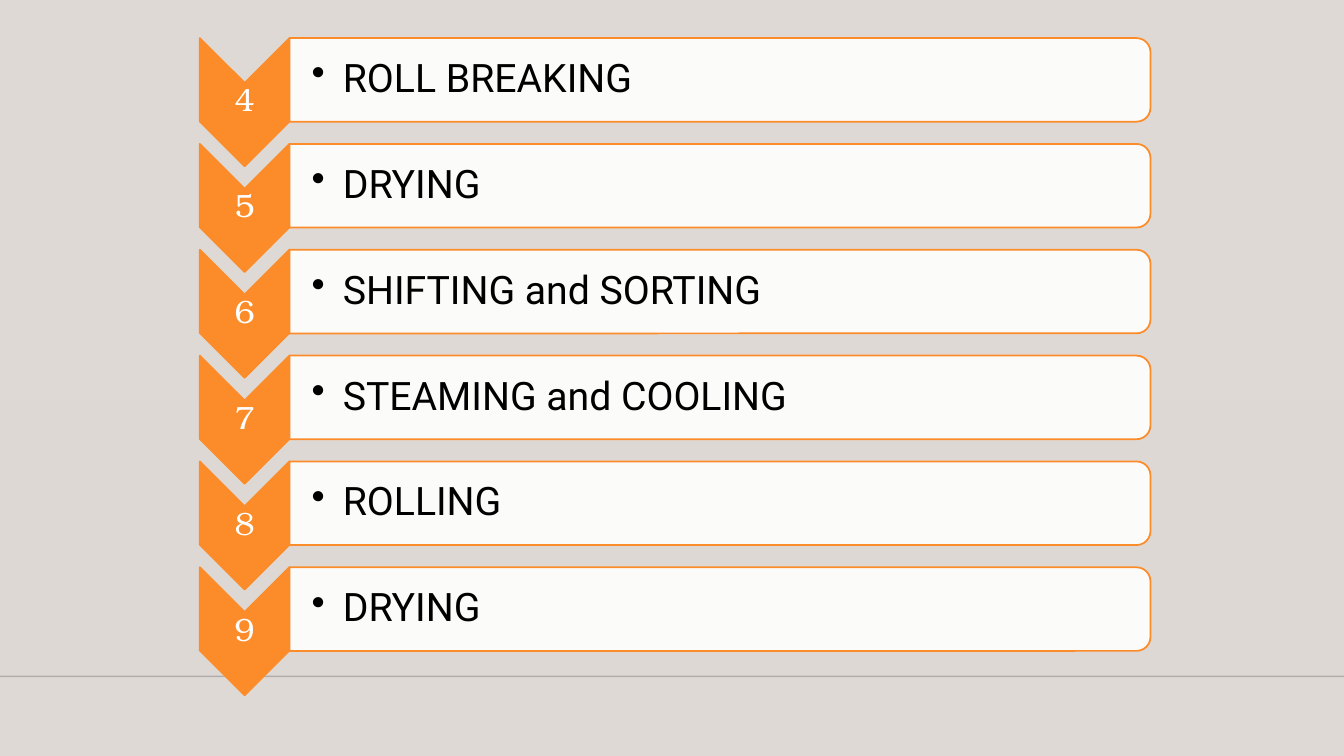
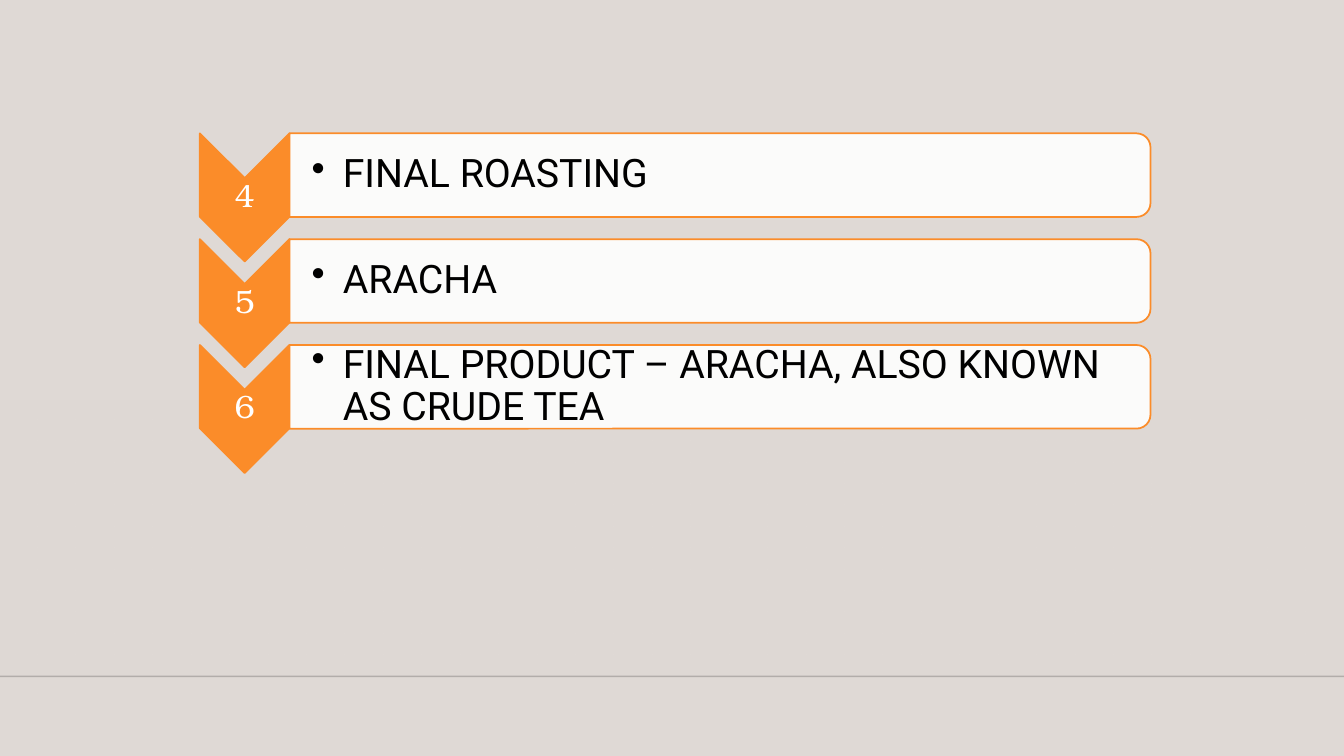
import pptx
import pptx.util
import pptx.dml.color
import pptx.enum.shapes
import pptx.enum.text
import pptx.oxml.ns
import pptx.oxml.xmlchemy

Pt = pptx.util.Pt
Inches = pptx.util.Inches
Kind = pptx.enum.shapes.MSO_SHAPE
Align = pptx.enum.text.PP_ALIGN
qn = pptx.oxml.ns.qn

WIDE, HIGH = 13.33, 7.5
COL = WIDE / 15      # one chevron wide
ROW = HIGH * 0.14    # from one step to the next


def color(code):
    return pptx.dml.color.RGBColor.from_string(code)


def add(node, tag, **marks):
    child = pptx.oxml.xmlchemy.OxmlElement(tag)
    for name, value in marks.items():
        child.set(name, str(value))
    node.append(child)


def fade(node, *shares):
    """Give the colours below node, in order, their opacity in percent."""
    for tone, share in zip(list(node.iter(qn("a:srgbClr"))), shares):
        add(tone, "a:alpha", val=share * 1000)


class Deck:
    # Style
    back, main, card = "DFD9D5", "FB8C29", "FFFFFF"
    rule, ink, pale = "000001", "000000", "FFFFFF"
    body, digit = "Roboto", "TeX Gyre Bonum"

    def __init__(self):
        self.file = pptx.Presentation()
        self.file.slide_width = Inches(WIDE)
        self.file.slide_height = Inches(HIGH)
        fill = self.file.slide_master.background.fill
        fill.solid()
        fill.fore_color.rgb = color(self.back)
        self.slide = None

    def page(self):
        self.slide = self.file.slides.add_slide(self.file.slide_layouts[6])
        self.floor()

    def box(self, col, row, cols, rows):
        return [Inches(n) for n in (col * COL, row * ROW, cols * COL, rows * ROW)]

    # Soft band with a thin line below it
    def floor(self):
        band = self.slide.shapes.add_shape(Kind.RECTANGLE, *self.box(0, 3.77, 15, 2.61))
        band.shadow.inherit = False
        band.line.fill.background()
        band.fill.gradient()
        band.fill.gradient_angle = 270
        for stop in band.fill.gradient_stops:
            stop.color.rgb = color(self.back)
        fade(band._element.spPr, 0, 80)

        left, top, wide, _ = self.box(0, 6.39, 15, 0)
        line = self.slide.shapes.add_connector(
            pptx.enum.shapes.MSO_CONNECTOR.STRAIGHT, left, top, wide, top)
        line.line.width = Pt(1)
        line.line.color.rgb = color(self.rule)
        props = line._element.spPr
        fade(props, 20)
        add(props, "a:effectLst")

    # Preset shape turned a quarter, placed by the area it covers
    def turned(self, kind, area, fill, share=100):
        left, top, wide, high = self.box(*area)
        shift = (wide - high) // 2
        shape = self.slide.shapes.add_shape(kind, left + shift, top - shift, high, wide)
        shape.rotation = 90
        shape.shadow.inherit = False
        shape.fill.solid()
        shape.fill.fore_color.rgb = color(fill)
        if share < 100:
            fade(shape._element.spPr, share)
        shape.line.color.rgb = color(self.main)
        shape.line.width = Pt(1.25)

    def text(self, area, words, font, size, tone, align, inset=0.02, bullet=False):
        frame = self.slide.shapes.add_textbox(*self.box(*area)).text_frame
        frame.word_wrap = True
        frame.vertical_anchor = pptx.enum.text.MSO_ANCHOR.MIDDLE
        frame.margin_left = Inches(inset)
        frame.margin_top = frame.margin_right = frame.margin_bottom = Inches(0.02)
        para = frame.paragraphs[0]
        para.alignment = align
        para.line_spacing = 0.9
        if bullet:
            props = para._p.get_or_add_pPr()
            props.set("marL", str(Inches(0.31)))
            props.set("indent", str(-Inches(0.31)))
            add(props, "a:buChar", char="•")
        run = para.add_run()
        run.text = words
        run.font.name = font
        run.font.size = Pt(size)
        run.font.color.rgb = color(tone)

    # One numbered step: chevron and card
    def step(self, row, number, words):
        self.turned(Kind.CHEVRON, (2.23, row, 1, 1.21), self.main)
        self.text((2.23, row + 0.42, 1, 0.36), str(number),
                  self.digit, 23, self.pale, Align.CENTER)
        self.turned(Kind.ROUND_2_SAME_RECTANGLE, (3.23, row, 9.61, 0.79), self.card, 90)
        self.text((3.23, row + 0.04, 9.56, 0.71), words,
                  self.body, 28, self.ink, Align.LEFT, 0.22, True)

    def steps(self, row, first, items):
        for i, words in enumerate(items):
            self.step(row + i, first + i, words)


def main():
    deck = Deck()

    # Steps 4 to 9
    deck.page()
    deck.steps(0.36, 4, ["ROLL BREAKING", "DRYING", "SHIFTING and SORTING",
                         "STEAMING and COOLING", "ROLLING", "DRYING"])

    # Last steps, 4 to 6
    deck.page()
    deck.steps(1.26, 4, ["FINAL ROASTING", "ARACHA",
                         "FINAL PRODUCT – ARACHA, ALSO KNOWN AS CRUDE TEA"])

    deck.file.save("out.pptx")


if __name__ == "__main__":
    main()
